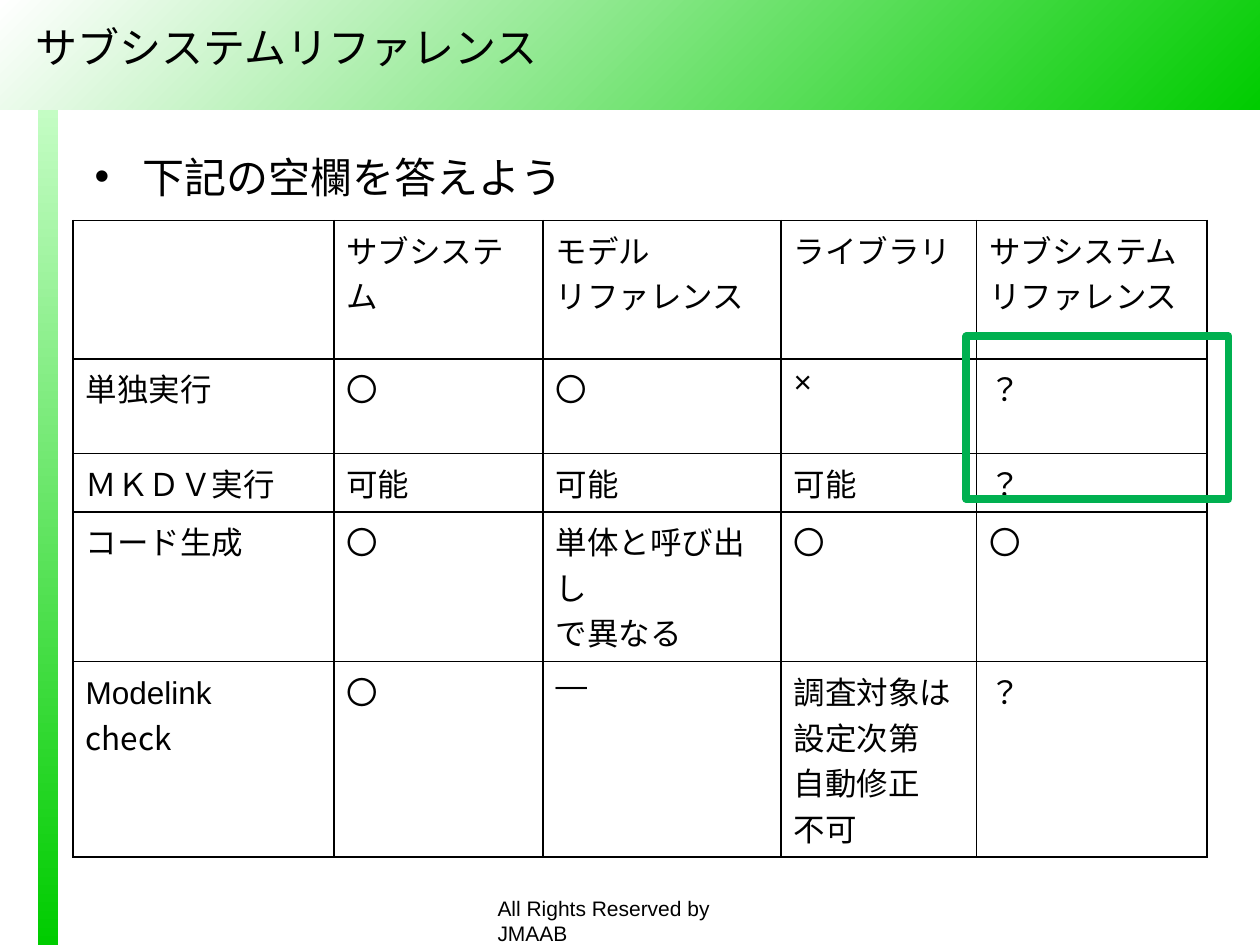
from lxml import etree
from pptx import Presentation
from pptx.dml.color import RGBColor
from pptx.enum import shapes, text
from pptx.oxml.ns import qn
from pptx.util import Inches, Pt

BLACK = RGBColor(0x00, 0x00, 0x00)
WHITE = RGBColor(0xFF, 0xFF, 0xFF)
PALE_GREEN = RGBColor(0xCC, 0xFF, 0xCC)
BRIGHT_GREEN = RGBColor(0x00, 0xCC, 0x00)
FRAME_GREEN = RGBColor(0x00, 0xB0, 0x50)
JAPANESE_FONT = "Noto Sans CJK JP"


def format_runs(text_frame, size, latin="Arial"):
    for paragraph in text_frame.paragraphs:
        paragraph.alignment = text.PP_ALIGN.LEFT
        for run in paragraph.runs:
            run.font.size = Pt(size)
            run.font.color.rgb = BLACK
            run.font.name = latin
            properties = run._r.get_or_add_rPr()
            etree.SubElement(properties, qn("a:ea"), typeface=JAPANESE_FONT)


def add_borders(cell):
    properties = cell._tc.get_or_add_tcPr()
    for side in ("lnL", "lnR", "lnT", "lnB"):
        line = etree.SubElement(properties, qn(f"a:{side}"), w=str(Pt(1)))
        fill = etree.SubElement(line, qn("a:solidFill"))
        etree.SubElement(fill, qn("a:srgbClr"), val=str(BLACK))


presentation = Presentation()
presentation.slide_width = Inches(10)
presentation.slide_height = Inches(7.5)
slide = presentation.slides.add_slide(presentation.slide_layouts[1])

# Gradient side bar and header, behind the placeholders
bands = [
    (0.3, 0.6, 0.16, 6.9, PALE_GREEN, 270),
    (0, 0, 10, 0.87, WHITE, 315),
]
for position, (left, top, width, height, start, angle) in enumerate(bands):
    band = slide.shapes.add_shape(
        shapes.MSO_SHAPE.RECTANGLE,
        Inches(left), Inches(top), Inches(width), Inches(height))
    band.shadow.inherit = False
    band.line.fill.background()
    band.fill.gradient()
    band.fill.gradient_angle = angle
    for stop, color in zip(band.fill.gradient_stops, (start, BRIGHT_GREEN)):
        stop.color.rgb = color
    slide.shapes._spTree.insert(2 + position, band._element)

# Title
title = slide.shapes.title
title.left, title.top = Inches(0.18), Inches(0.14)
title.width, title.height = Inches(6.86), Inches(0.46)
title.text_frame.text = "サブシステムリファレンス"
title.text_frame.vertical_anchor = text.MSO_ANCHOR.MIDDLE
format_runs(title.text_frame, 24, JAPANESE_FONT)

# Question
body = slide.placeholders[1]
body.left, body.top = Inches(0.65), Inches(1.15)
body.width, body.height = Inches(9), Inches(5.83)
body.text_frame.text = "下記の空欄を答えよう"
question = body.text_frame.paragraphs[0]
question.space_before = Pt(0)
question_properties = question._p.get_or_add_pPr()
question_properties.set("marL", str(Inches(0.38)))
question_properties.set("indent", str(Inches(-0.38)))
etree.SubElement(question_properties, qn("a:buChar"), char="•")
format_runs(body.text_frame, 24)

# Comparison table
rows = [
    ["", "サブシステム", "モデル\nリファレンス", "ライブラリ", "サブシステム\nリファレンス"],
    ["単独実行", "〇", "〇", "×", "？"],
    ["ＭＫＤＶ実行", "可能", "可能", "可能", "？"],
    ["コード生成", "〇", "単体と呼び出し\nで異なる", "〇", "〇"],
    ["Modelink　", "〇", "―", "調査対象は設定次第\n自動修正\n不可", "？"],
]
column_widths = [2.07, 1.66, 1.89, 1.55, 1.83]
row_heights = [1.1, 0.75, 0.46, 1.19, 1.55]
table = slide.shapes.add_table(
    len(rows), len(column_widths), Inches(0.58), Inches(1.75),
    Inches(sum(column_widths)), Inches(sum(row_heights))).table
table.first_row = False
table.horz_banding = False
for column, width in zip(table.columns, column_widths):
    column.width = Inches(width)
for row, height, values in zip(table.rows, row_heights, rows):
    row.height = Inches(height)
    for cell, value in zip(row.cells, values):
        add_borders(cell)
        cell.fill.background()
        cell.text_frame.text = value
        format_runs(cell.text_frame, 18)

# The last row label ends in a second font
check_cell = table.cell(4, 0)
check_run = check_cell.text_frame.paragraphs[0].add_run()
check_run.text = "check"
check_run.font.size = Pt(18)
check_run.font.color.rgb = BLACK
check_run.font.name = JAPANESE_FONT

# Frame around the blanks to fill in
frame = slide.shapes.add_shape(
    shapes.MSO_SHAPE.RECTANGLE,
    Inches(7.67), Inches(2.67), Inches(2.08), Inches(1.29))
frame.shadow.inherit = False
frame.fill.background()
frame.line.color.rgb = FRAME_GREEN
frame.line.width = Pt(4.5)

# Copyright line
footer = slide.shapes.add_textbox(
    Inches(3.85), Inches(7.06), Inches(2.48), Inches(0.3))
footer.text_frame.word_wrap = True
footer.text_frame.text = "All Rights Reserved by JMAAB"
format_runs(footer.text_frame, 12)

presentation.save("out.pptx")
